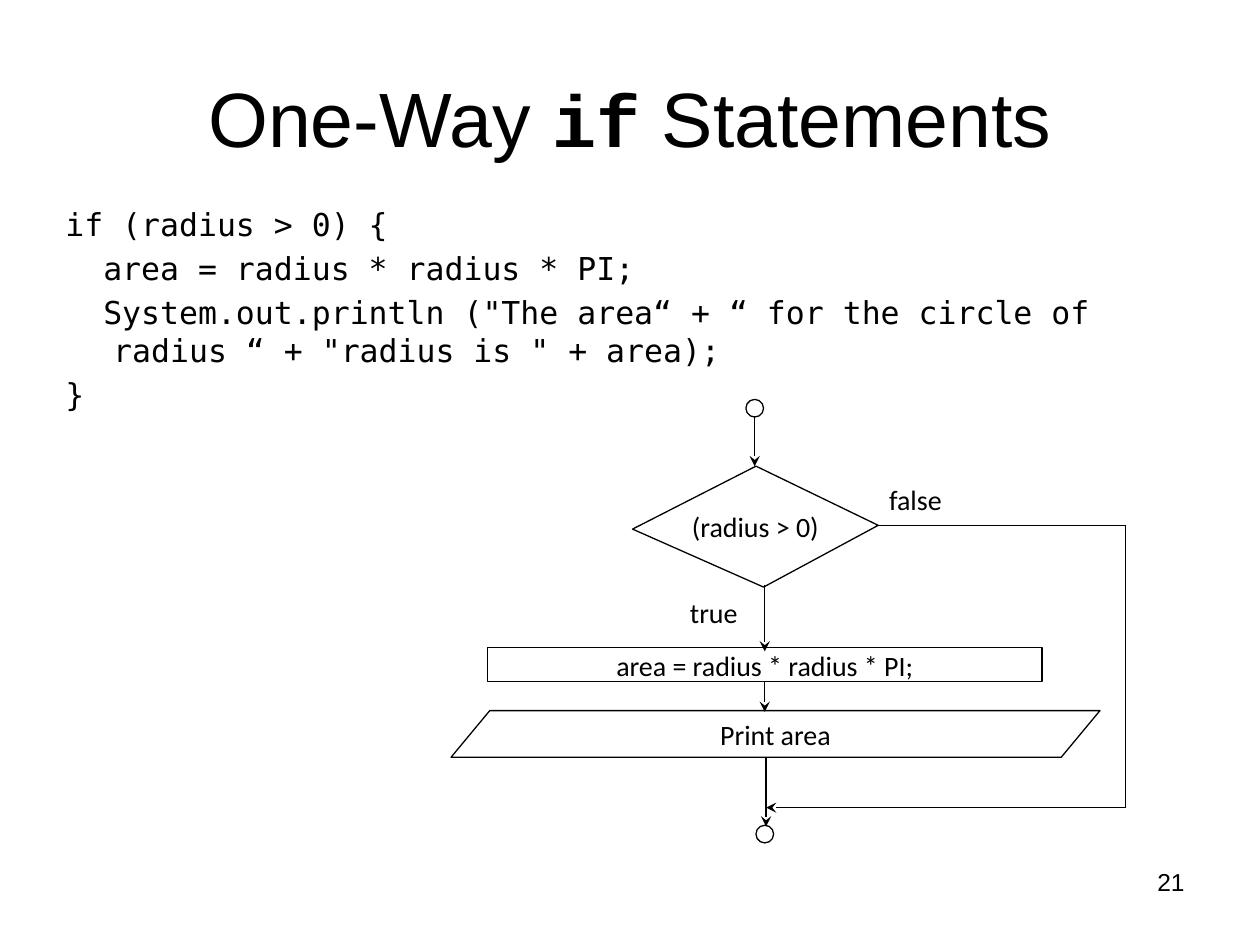
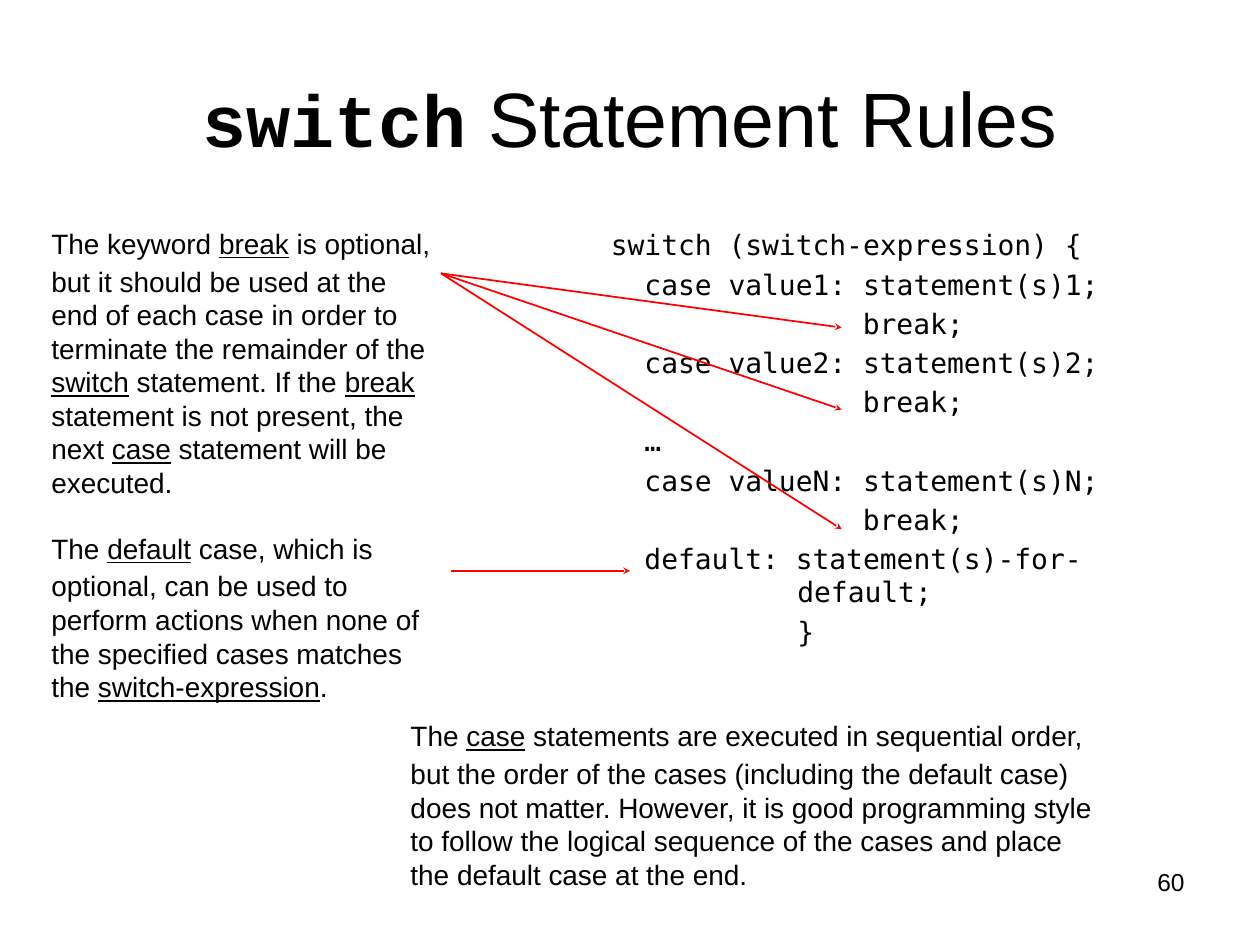
from itertools import pairwise

from lxml.etree import SubElement
from pptx import Presentation
from pptx.dml.color import RGBColor
from pptx.enum.shapes import MSO_CONNECTOR, MSO_SHAPE
from pptx.enum.text import MSO_ANCHOR, PP_ALIGN
from pptx.oxml.ns import qn
from pptx.util import Inches, Pt

BLACK = RGBColor(0x00, 0x00, 0x00)
WHITE = RGBColor(0xFF, 0xFF, 0xFF)
RED = RGBColor(0xFF, 0x00, 0x00)

BODY_FONT = "Arial"
FLOW_FONT = "Calibri"
KEYWORD_FONT = "Courier New"
CODE_FONT = "DejaVu Sans Mono"


class Deck:
    """Holds the shared style and the slide being built."""

    def __init__(self):
        self.presentation = Presentation()
        self.presentation.slide_width = Inches(10)
        self.presentation.slide_height = Inches(7.5)
        self.slide = None

    def format_run(self, run, font, size, bold=False, underline=False):
        run.font.name = font
        run.font.size = Pt(size)
        run.font.bold = bold
        run.font.underline = underline
        run.font.color.rgb = BLACK

    def set_indent(self, paragraph, left, first):
        properties = paragraph._p.get_or_add_pPr()
        properties.set("marL", str(Inches(left)))
        properties.set("indent", str(Inches(first)))

    def set_frame(self, shape, inset_x, inset_y, anchor):
        frame = shape.text_frame
        frame.word_wrap = True
        frame.vertical_anchor = anchor
        frame.margin_left = frame.margin_right = Inches(inset_x)
        frame.margin_top = frame.margin_bottom = Inches(inset_y)
        return frame

    def add_slide(self, title, number):
        """Add a slide; words between underscores in the title are keywords."""
        self.slide = self.presentation.slides.add_slide(self.presentation.slide_layouts[5])
        placeholder = self.slide.shapes.title
        placeholder.left, placeholder.top = Inches(0.5), Inches(0.3)
        placeholder.width, placeholder.height = Inches(9), Inches(1.25)
        paragraph = self.set_frame(placeholder, 0.1, 0.05, MSO_ANCHOR.MIDDLE).paragraphs[0]
        paragraph.alignment = PP_ALIGN.CENTER
        for index, part in enumerate(title.split("_")):
            if part:
                run = paragraph.add_run()
                run.text = part
                if index % 2:
                    self.format_run(run, KEYWORD_FONT, 42, bold=True)
                else:
                    self.format_run(run, BODY_FONT, 44)

        # Slide number
        paragraph = self.text_frame(7.17, 6.83, 2.33, 0.52).paragraphs[0]
        paragraph.text = str(number)
        paragraph.alignment = PP_ALIGN.RIGHT
        self.format_run(paragraph.runs[0], BODY_FONT, 14)

    def text_frame(self, left, top, width, height):
        box = self.slide.shapes.add_textbox(
            Inches(left), Inches(top), Inches(width), Inches(height))
        return self.set_frame(box, 0.1, 0.05, MSO_ANCHOR.TOP)

    def code(self, left, top, width, height, size, lines):
        """Add code lines, each given as text, left margin and first-line indent."""
        frame = self.text_frame(left, top, width, height)
        for index, (text, margin, first) in enumerate(lines):
            paragraph = frame.add_paragraph() if index else frame.paragraphs[0]
            paragraph.text = text
            self.set_indent(paragraph, margin, first)
            if index:
                paragraph.space_before = Pt(0.2 * size)
            self.format_run(paragraph.runs[0], CODE_FONT, size)

    def note(self, left, top, width, height, text, lead_font=BODY_FONT):
        """Add a note; words between underscores are underlined."""
        paragraph = self.text_frame(left, top, width, height).paragraphs[0]
        self.set_indent(paragraph, 0.06, -0.06)
        lead = paragraph.add_run()
        lead.text = "\t"
        self.format_run(lead, lead_font, 28)
        for index, part in enumerate(text.split("_")):
            run = paragraph.add_run()
            run.text = part
            self.format_run(run, BODY_FONT, 16, underline=index % 2 == 1)

    def style_node(self, shape, text, line, anchor):
        shape.shadow.inherit = False
        shape.fill.solid()
        shape.fill.fore_color.rgb = WHITE
        shape.line.color.rgb = line
        shape.line.width = Pt(0.75)
        if text:
            paragraph = self.set_frame(shape, 0.01, 0.01, anchor).paragraphs[0]
            paragraph.text = text
            paragraph.alignment = PP_ALIGN.CENTER
            self.format_run(paragraph.runs[0], FLOW_FONT, 16)

    def node(self, kind, left, top, width, height, text="", line=BLACK, anchor=MSO_ANCHOR.TOP):
        shape = self.slide.shapes.add_shape(
            kind, Inches(left), Inches(top), Inches(width), Inches(height))
        self.style_node(shape, text, line, anchor)
        return shape

    def decision(self, corners, text):
        points = [(Inches(x), Inches(y)) for x, y in corners]
        builder = self.slide.shapes.build_freeform(*points[0])
        builder.add_line_segments(points[1:], close=True)
        self.style_node(builder.convert_to_shape(), text, BLACK, MSO_ANCHOR.MIDDLE)

    def line(self, start, end, color=BLACK, width=0.75, arrow="med"):
        """Add a line; arrow is the size of its head, or None for no head."""
        connector = self.slide.shapes.add_connector(
            MSO_CONNECTOR.STRAIGHT, *(Inches(value) for value in (*start, *end)))
        connector.line.color.rgb = color
        connector.line.width = Pt(width)
        properties = connector.element.spPr
        if arrow:
            SubElement(properties.find(qn("a:ln")), qn("a:tailEnd"),
                       type="stealth", w=arrow, len=arrow)
        SubElement(properties, qn("a:effectLst"))


def build_if_slide(deck):
    deck.add_slide("One-Way _if_ Statements", 21)
    code_lines = [
        "if (radius > 0) {",
        "  area = radius * radius * PI;",
        '  System.out.println ("The area“ + “ for the circle of radius “ + "radius is " + area);',
        "}",
    ]
    deck.code(0.42, 1.58, 9.08, 2.08, 18, [(text, 0.38, -0.38) for text in code_lines])

    # Flowchart nodes
    deck.decision([(6, 3.7), (6.97, 4.17), (6.06, 4.66), (5.02, 4.2)], "(radius > 0)")
    deck.node(MSO_SHAPE.RECTANGLE, 5.37, 4.72, 0.59, 0.26, "true", WHITE)
    deck.node(MSO_SHAPE.RECTANGLE, 6.97, 3.82, 0.59, 0.26, "false", WHITE)
    deck.node(MSO_SHAPE.RECTANGLE, 3.87, 5.14, 4.4, 0.27, "area = radius * radius * PI;")
    output = deck.node(MSO_SHAPE.PARALLELOGRAM, 3.58, 5.64, 5.15, 0.37,
                       "Print area", anchor=MSO_ANCHOR.MIDDLE)
    output.adjustments[0] = 0.83
    for left, top in [(5.92, 3.17), (6, 6.55)]:
        deck.node(MSO_SHAPE.OVAL, left, top, 0.14, 0.14)

    # Downward flow
    for x, top, bottom in [(5.99, 3.3, 3.7), (6.07, 4.64, 5.17),
                           (6.07, 5.41, 5.65), (6.08, 6.01, 6.56)]:
        deck.line((x, top), (x, bottom))

    # Bypass for the false branch
    bypass = [(6.95, 4.17), (8.93, 4.17), (8.93, 6.41), (6.08, 6.41)]
    for start, end in pairwise(bypass):
        deck.line(start, end, arrow="med" if end == bypass[-1] else None)


def build_switch_slide(deck):
    deck.add_slide("_switch_ Statement Rules", 60)
    deck.note(0.25, 1.58, 3.33, 2.25,
              "The keyword _break_ is optional, but it should be used at the end of each case "
              "in order to terminate the remainder of the _switch_ statement. If the _break_ "
              "statement is not present, the next _case_ statement will be executed.",
              lead_font=CODE_FONT)

    # Code, with each break set under the statement it follows
    break_line = ("break;", 2, 0)
    deck.code(4.75, 1.76, 4.32, 3.9, 16, [
        ("switch (switch-expression) {", 0, 0),
        ("  case value1: statement(s)1;", 0, 0),
        break_line,
        ("  case value2: statement(s)2;", 0, 0),
        break_line,
        ("  …", 0, 0),
        ("  case valueN: statement(s)N;", 0, 0),
        break_line,
        ("  default: statement(s)-for-default;", 1.48, -1.48),
        ("}", 1.48, 0),
    ])

    # Arrows from the notes to the code
    for break_top in (2.6, 3.25, 4.2):
        deck.line((3.5, 2.17), (6.68, break_top), RED, 1, "sm")
    deck.line((3.58, 4.53), (5, 4.53), RED, 1, "sm")

    deck.note(0.25, 4, 3.33, 1.67,
              "The _default_ case, which is optional, can be used to perform actions when "
              "none of the specified cases matches the _switch-expression_.")
    deck.note(3.1, 5.49, 5.73, 1.43,
              "The _case_ statements are executed in sequential order, but the order of the "
              "cases (including the default case) does not matter. However, it is good "
              "programming style to follow the logical sequence of the cases and place the "
              "default case at the end.")


def main():
    deck = Deck()
    build_if_slide(deck)
    build_switch_slide(deck)
    deck.presentation.save("out.pptx")


if __name__ == "__main__":
    main()
